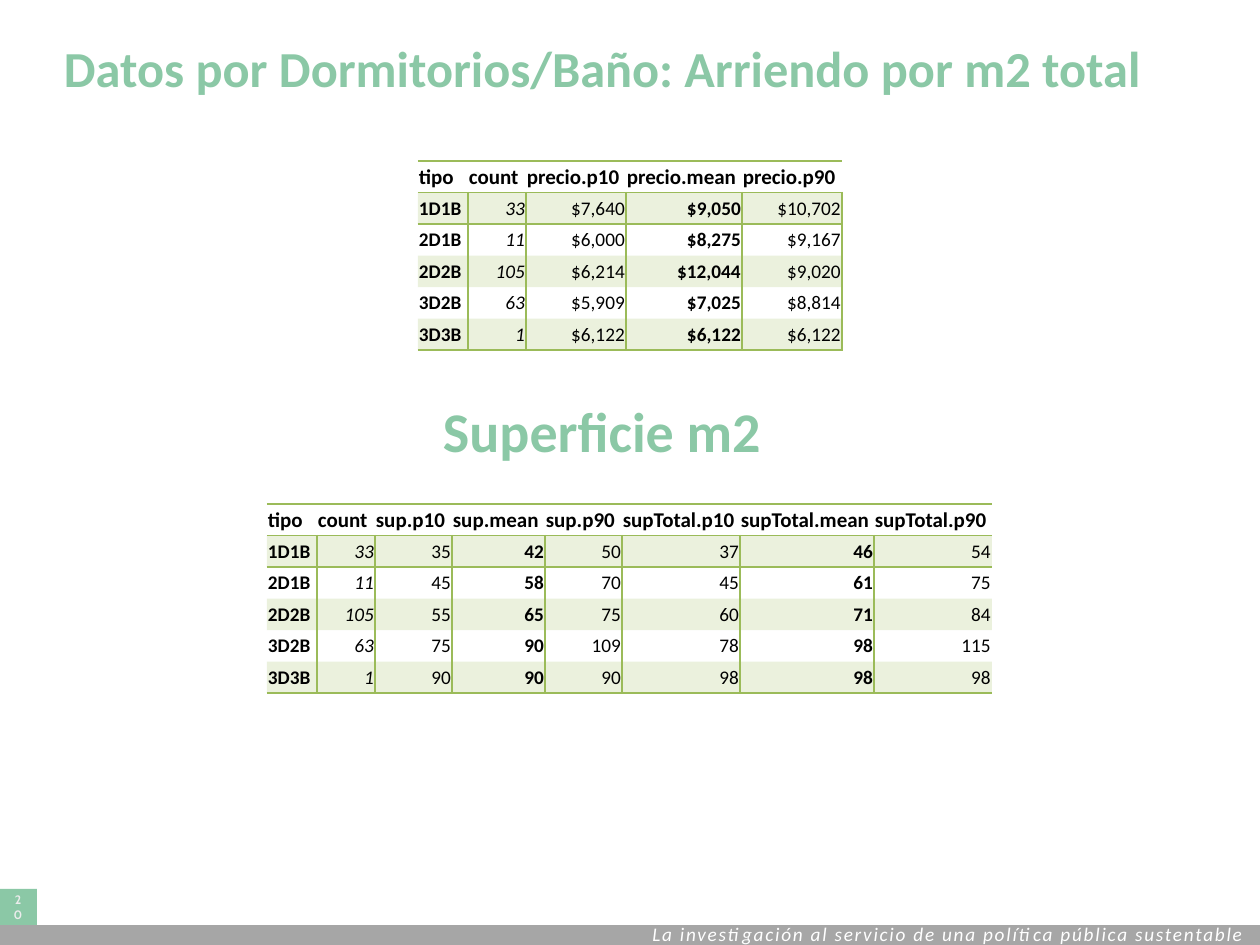
from itertools import accumulate

from lxml import etree
from pptx import Presentation
from pptx.dml.color import RGBColor
from pptx.enum.shapes import MSO_SHAPE
from pptx.enum.text import MSO_ANCHOR, PP_ALIGN
from pptx.oxml.ns import qn
from pptx.util import Emu, Pt

RECTANGLE = MSO_SHAPE.RECTANGLE
MIDDLE = MSO_ANCHOR.MIDDLE
TOP = MSO_ANCHOR.TOP
LEFT, CENTER, RIGHT = PP_ALIGN.LEFT, PP_ALIGN.CENTER, PP_ALIGN.RIGHT

PX = 914400 / 126
COLORS = {
    "mint": "8BC8A6",
    "gray": "A6A6A6",
    "green": "9BBB59",
    "black": "000000",
    "white": "FFFFFF",
    "pale": "ECECEC",
}
PLAIN_TABLE = "{2D5ABB26-0587-4C30-8999-92F81FD0307C}"

PRICE_ROWS = [
    ["tipo", "count", "precio.p10", "precio.mean", "precio.p90"],
    ["1D1B", "33", "$7,640", "$9,050", "$10,702"],
    ["2D1B", "11", "$6,000", "$8,275", "$9,167"],
    ["2D2B", "105", "$6,214", "$12,044", "$9,020"],
    ["3D2B", "63", "$5,909", "$7,025", "$8,814"],
    ["3D3B", "1", "$6,122", "$6,122", "$6,122"],
]
AREA_ROWS = [
    ["tipo", "count", "sup.p10", "sup.mean", "sup.p90",
     "supTotal.p10", "supTotal.mean", "supTotal.p90"],
    ["1D1B", "33", "35", "42", "50", "37", "46", "54"],
    ["2D1B", "11", "45", "58", "70", "45", "61", "75"],
    ["2D2B", "105", "55", "65", "75", "60", "71", "84"],
    ["3D2B", "63", "75", "90", "109", "78", "98", "115"],
    ["3D3B", "1", "90", "90", "90", "98", "98", "98"],
]


def px(value):
    return Emu(round(value * PX))


def rgb(name):
    return RGBColor.from_string(COLORS[name])


def write(frame, text, size, color, font="Calibri", bold=False, italic=False,
          align=LEFT, spacing=None, after=0):
    para = frame.paragraphs[0]
    para.alignment = align
    para.space_after = Pt(after)
    span = para.add_run()
    span.text = text
    span.font.name = font
    span.font.size = Pt(size)
    span.font.bold = bold
    span.font.italic = italic
    span.font.color.rgb = rgb(color)
    if spacing:
        span.font._element.set("spc", str(spacing))


class SlideBuilder:
    def __init__(self, page):
        self.page = page

    def place(self, box, left, top, width, height):
        box.left, box.top = px(left), px(top)
        box.width, box.height = px(width), px(height)

    def frame_heading(self, box):
        frame = box.text_frame
        frame.word_wrap = True
        frame.vertical_anchor = MIDDLE
        frame.margin_left = frame.margin_right = px(5)
        frame.margin_top = frame.margin_bottom = px(3)
        return frame

    def title(self, text, left, top, width, height):
        box = self.page.shapes.title
        self.place(box, left, top, width, height)
        write(self.frame_heading(box), text, 28.8, "mint", bold=True)

    def heading(self, text, left, top, width, height):
        box = self.page.shapes.add_textbox(px(left), px(top), px(width), px(height))
        write(self.frame_heading(box), text, 32, "mint", bold=True, align=CENTER)

    def bar(self, color, left, top, width, height):
        box = self.page.shapes.add_shape(
            RECTANGLE, px(left), px(top), px(width), px(height))
        box.shadow.inherit = False
        box.fill.solid()
        box.fill.fore_color.rgb = rgb(color)
        box.line.fill.background()
        return box

    def page_number(self, text, left, top, width, height):
        frame = self.bar("mint", left, top, width, height).text_frame
        frame.word_wrap = True
        frame.vertical_anchor = MIDDLE
        write(frame, text, 7, "pale", font="Cabin", bold=True, align=CENTER, after=6)

    def motto(self, text, left, top, width, height):
        box = self.page.shapes.add_textbox(px(left), px(top), px(width), px(height))
        frame = box.text_frame
        frame.word_wrap = True
        frame.margin_right = 0
        frame.vertical_anchor = TOP
        write(frame, text, 11, "white", italic=True, spacing=100)

    def border(self, cell, sides):
        properties = cell._tc.get_or_add_tcPr()
        for index, side in enumerate(side for side in "LRTB" if side in sides):
            line = etree.Element(qn(f"a:ln{side}"), w=str(Pt(1)))
            fill = etree.SubElement(line, qn("a:solidFill"))
            etree.SubElement(fill, qn("a:srgbClr"), val=COLORS["green"])
            properties.insert(index, line)

    def shade(self, cell, banded):
        if not banded:
            cell.fill.background()
            return
        cell.fill.solid()
        cell.fill.fore_color.rgb = rgb("green")
        color = cell._tc.tcPr.find(f".//{qn('a:srgbClr')}")
        etree.SubElement(color, qn("a:alpha"), val="20000")

    def table(self, rows, widths, left, top, height, dividers):
        frame = self.page.shapes.add_table(
            len(rows), len(widths), px(left), px(top), px(sum(widths)), px(height))
        table = frame.table
        table.first_row = table.horz_banding = False
        table._tbl.tblPr.find(qn("a:tableStyleId")).text = PLAIN_TABLE
        edges = [px(edge) for edge in accumulate(widths, initial=0)]
        for column, start, end in zip(table.columns, edges, edges[1:]):
            column.width = end - start
        for r, row in enumerate(rows):
            for c, text in enumerate(row):
                cell = table.cell(r, c)
                header = r == 0
                cell.vertical_anchor = MIDDLE
                cell.margin_left = cell.margin_right = cell.margin_top = px(1)
                cell.margin_bottom = 0
                write(cell.text_frame, text, 12 if header else 11, "black",
                      bold=header or c == 0 or rows[0][c].endswith(".mean"),
                      italic=not header and c == 1,
                      align=LEFT if header or c == 0 else RIGHT)
                self.shade(cell, r % 2 == 1)
                sides = "TB" if header else ""
                if r == 1:
                    sides += "T"
                if r == len(rows) - 1:
                    sides += "B"
                if not header and c in dividers:
                    sides += "R"
                if not header and c - 1 in dividers:
                    sides += "L"
                self.border(cell, sides)


def main():
    deck = Presentation()
    deck.slide_width, deck.slide_height = px(1260), px(945)
    builder = SlideBuilder(deck.slides.add_slide(deck.slide_layouts[5]))

    builder.bar("gray", -1, 925, 1263, 20)
    builder.motto("La investigación al servicio de una política pública sustentable",
                  640, 916, 620, 37)
    builder.page_number("20", -1, 889, 38, 36)
    builder.title("Datos por Dormitorios/Baño: Arriendo por m2 total", 59, 10, 1176, 115)
    builder.table(PRICE_ROWS, [50, 58, 100, 116, 100], 418, 161, 189, {0, 1, 2, 4})
    builder.heading("Superficie m2", 14, 373, 1176, 115)
    builder.table(AREA_ROWS, [50, 58, 77, 93, 77, 118, 134, 118], 267, 504, 189,
                  {0, 1, 2, 4, 5})
    deck.save("out.pptx")


if __name__ == "__main__":
    main()
